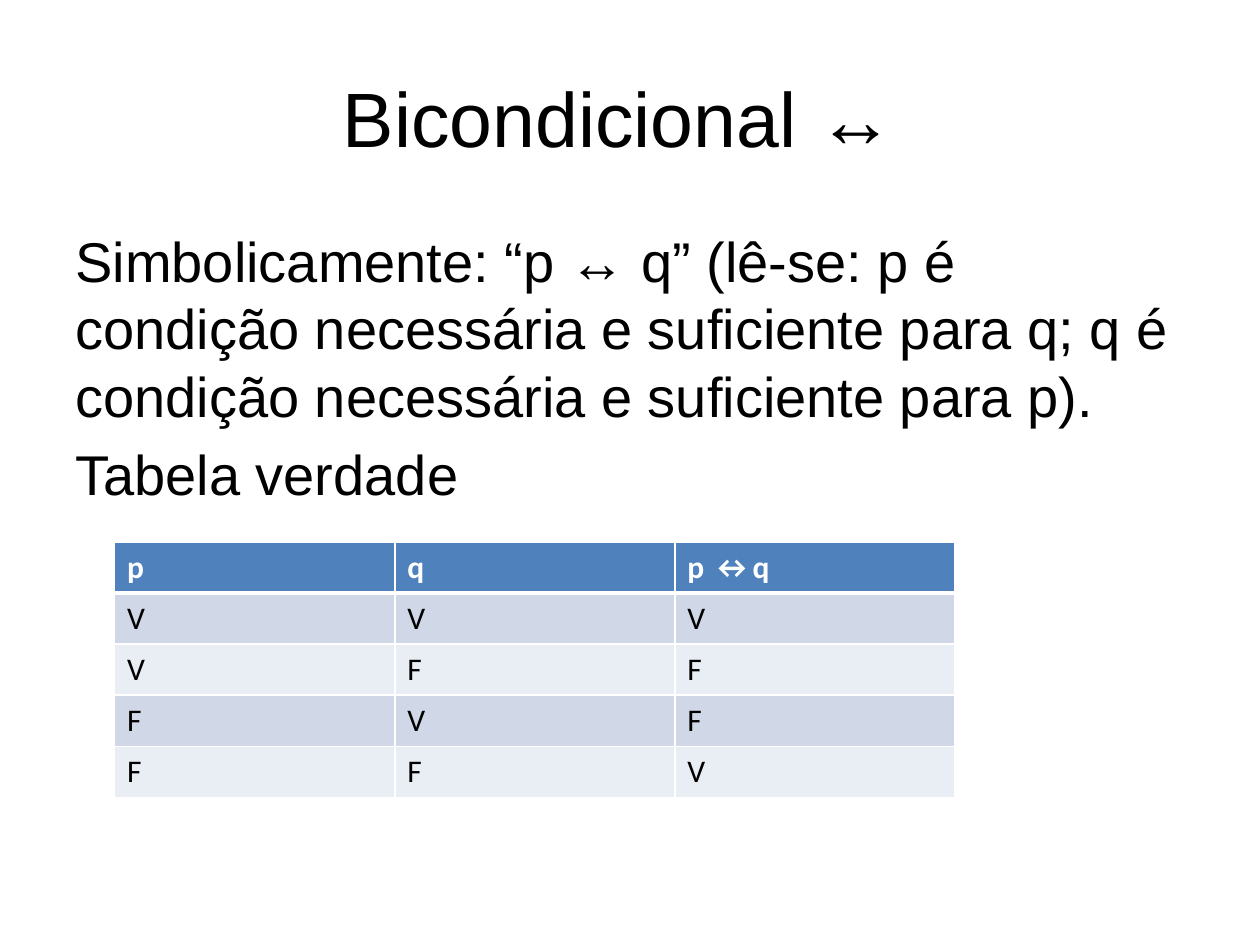
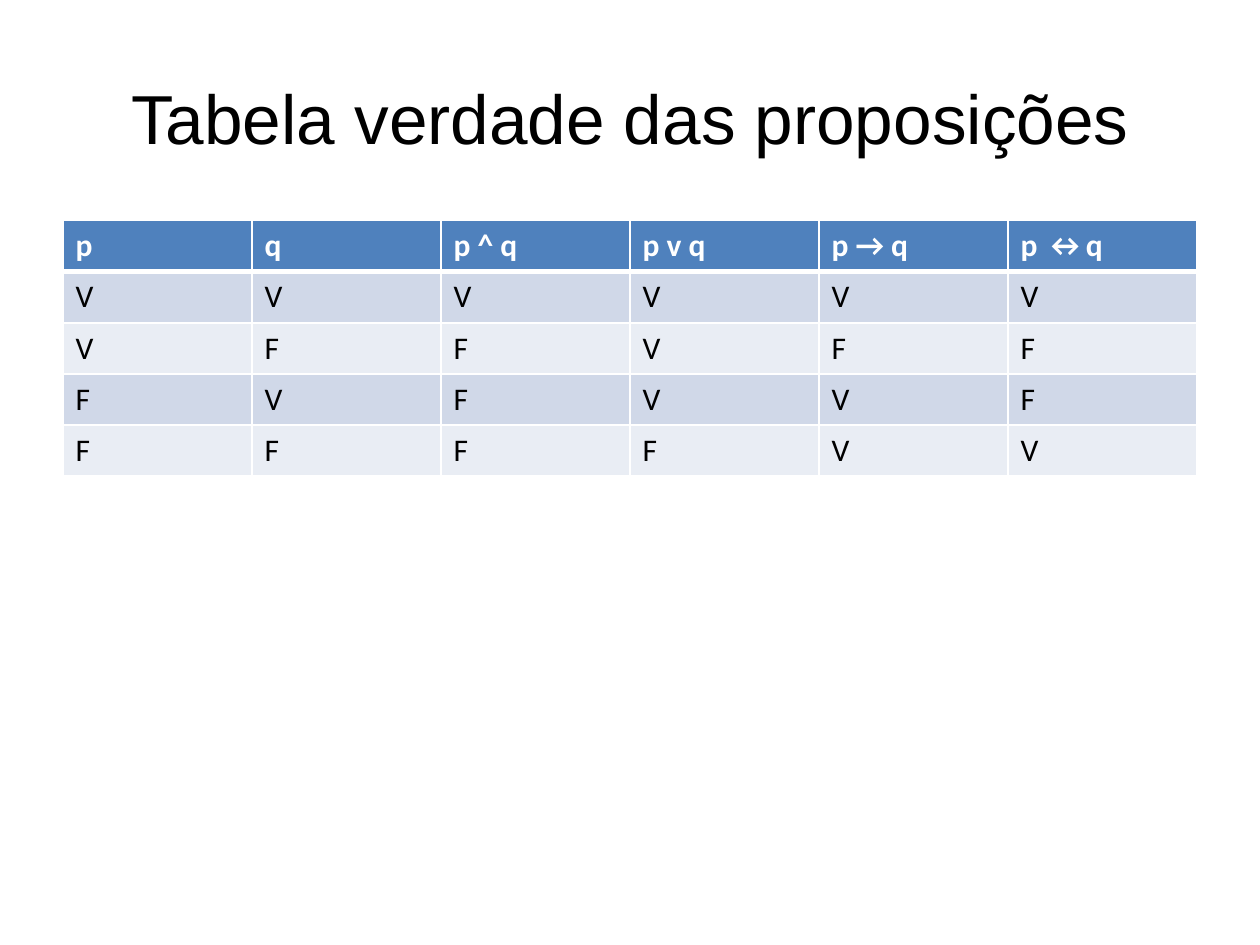
from lxml import etree
from pptx import Presentation
from pptx.dml.color import RGBColor
from pptx.enum.text import MSO_ANCHOR, PP_ALIGN
from pptx.oxml.ns import qn
from pptx.util import Inches, Pt

CENTER = PP_ALIGN.CENTER
LEFT = PP_ALIGN.LEFT
MIDDLE = MSO_ANCHOR.MIDDLE
TOP = MSO_ANCHOR.TOP

COLORS = {
    "text": "000000",
    "header": "4F81BD",
    "header_text": "FFFFFF",
    "border": "FFFFFF",
    "band_dark": "D0D8E8",
    "band_light": "E9EDF4",
}
TEXT_FONT = "Arial"
TABLE_FONT = "Calibri"
TITLE_BOX = (0.5, 0.3, 9, 1.25)
BODY_BOX = (0.5, 1.75, 9, 4.83)
BODY_SIZE = 32
ROW_HEIGHT = 0.406

SLIDES = [
    {
        "title": "Bicondicional ↔ ",
        "title_size": 44,
        "body": [
            "Simbolicamente: “p ↔ q” (lê-se: p é condição necessária e suficiente "
            "para q; q é condição necessária e suficiente para p).",
            "Tabela verdade",
        ],
        "table_place": (0.91, 4.3, 6.67),
        "table": [
            ("p", "q", "p ↔q"),
            ("V", "V", "V"),
            ("V", "F", "F"),
            ("F", "V", "F"),
            ("F", "F", "V"),
        ],
    },
    {
        "title": "Tabela verdade das proposições",
        "title_size": 39.6,
        "body": [],
        "table_place": (0.5, 1.75, 9),
        "table": [
            ("p", "q", "p ^ q", "p v q", "p → q", "p ↔q"),
            ("V", "V", "V", "V", "V", "V"),
            ("V", "F", "F", "V", "F", "F"),
            ("F", "V", "F", "V", "V", "F"),
            ("F", "F", "F", "F", "V", "V"),
        ],
    },
]


def color(name):
    return RGBColor.from_string(COLORS[name])


def style_font(font, name, size, color_name, bold=False):
    font.name = name
    font.size = Pt(size)
    font.bold = bold
    font.color.rgb = color(color_name)


def add_text(slide, box, lines, size, align, anchor, space_before=0):
    frame = slide.shapes.add_textbox(*map(Inches, box)).text_frame
    frame.word_wrap = True
    frame.vertical_anchor = anchor
    for index, line in enumerate(lines):
        paragraph = frame.add_paragraph() if index else frame.paragraphs[0]
        paragraph.text = line
        paragraph.alignment = align
        paragraph.space_before = Pt(space_before)
        style_font(paragraph.font, TEXT_FONT, size, "text")


def set_borders(cell, widths):
    properties = cell._tc.get_or_add_tcPr()
    for side, width in widths.items():
        line = etree.SubElement(properties, qn(f"a:ln{side}"), w=str(Pt(width)))
        fill = etree.SubElement(line, qn("a:solidFill"))
        etree.SubElement(fill, qn("a:srgbClr"), val=COLORS["border"])


def add_truth_table(slide, place, rows):
    left, top, width = map(Inches, place)
    height = Inches(ROW_HEIGHT * len(rows))
    table = slide.shapes.add_table(len(rows), len(rows[0]), left, top, width, height).table
    for row_index, row in enumerate(rows):
        is_header = row_index == 0
        band = "header" if is_header else ("band_light", "band_dark")[row_index % 2]
        text_color = "header_text" if is_header else "text"
        widths = {"L": 1, "R": 1, "T": 3 if row_index == 1 else 1, "B": 3 if is_header else 1}
        for column_index, value in enumerate(row):
            cell = table.cell(row_index, column_index)
            set_borders(cell, widths)
            cell.fill.solid()
            cell.fill.fore_color.rgb = color(band)
            paragraph = cell.text_frame.paragraphs[0]
            paragraph.text = value
            style_font(paragraph.font, TABLE_FONT, 18, text_color, is_header)


def main():
    presentation = Presentation()
    presentation.slide_width = Inches(10)
    presentation.slide_height = Inches(7.5)
    blank_layout = presentation.slide_layouts[6]
    for content in SLIDES:
        slide = presentation.slides.add_slide(blank_layout)
        add_text(slide, TITLE_BOX, [content["title"]], content["title_size"], CENTER, MIDDLE)
        if content["body"]:
            add_text(slide, BODY_BOX, content["body"], BODY_SIZE, LEFT, TOP, BODY_SIZE * 0.2)
        add_truth_table(slide, content["table_place"], content["table"])
    presentation.save("out.pptx")


if __name__ == "__main__":
    main()
